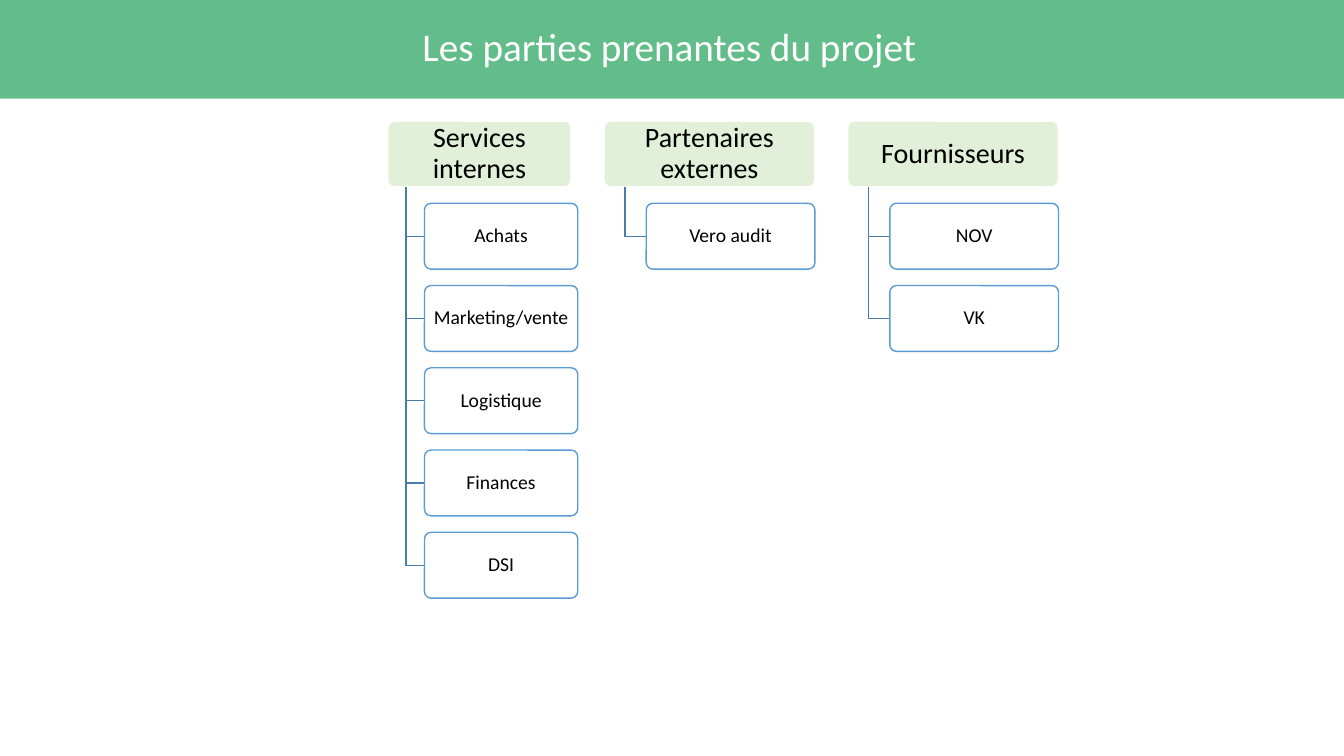
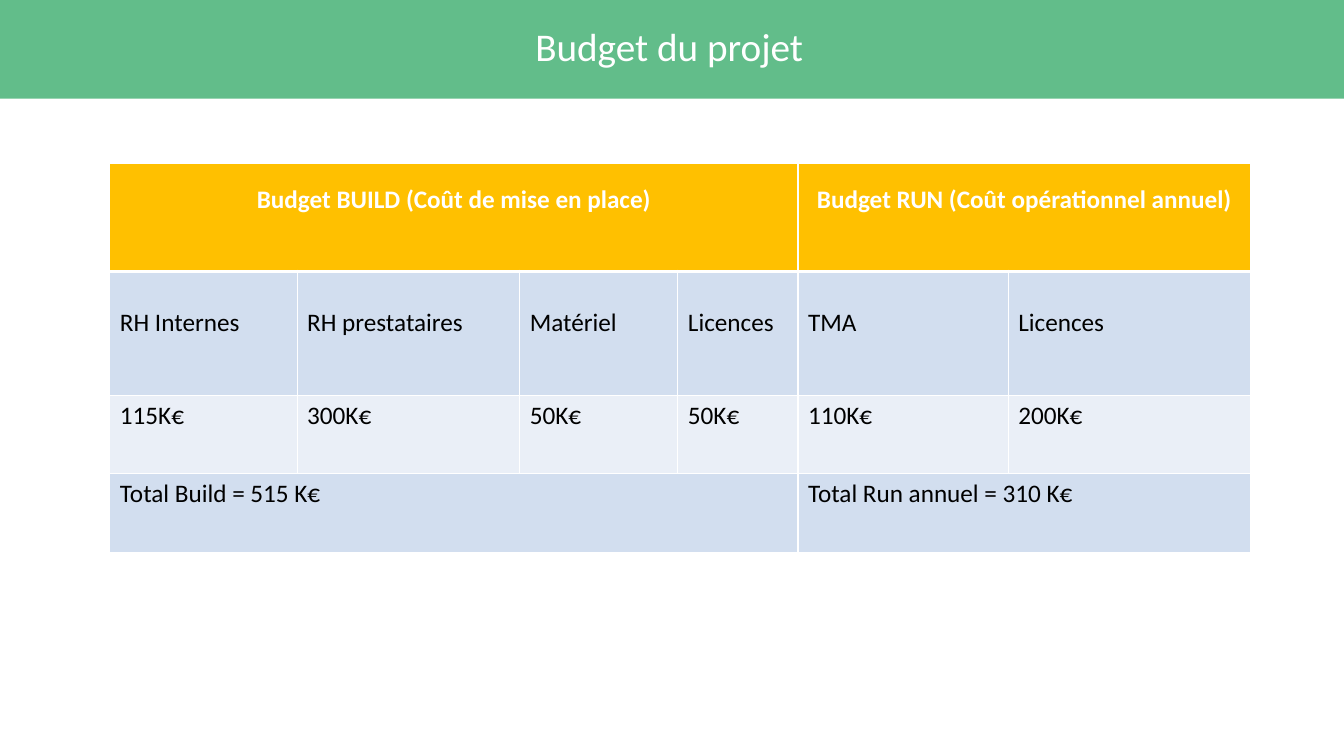
import lxml.etree
import pptx
import pptx.dml.color
import pptx.enum.shapes
import pptx.enum.text
import pptx.oxml.ns
import pptx.util

Pt = pptx.util.Pt
ALIGN = pptx.enum.text.PP_ALIGN
ANCHOR = pptx.enum.text.MSO_ANCHOR
SHAPE = pptx.enum.shapes.MSO_SHAPE

FONT = "Calibri"
GREEN, PALE_GREEN, AMBER = "62BD8A", "E2F0D9", "FFC000"
BLUE, LINK_BLUE = "5B9BD5", "497CAB"
BAND_DARK, BAND_LIGHT = "D2DEEF", "EAEFF7"
BLACK, WHITE = "000000", "FFFFFF"

STAKEHOLDERS_TITLE = "Les parties prenantes du projet"
# heading, left, heading width, member width, members
STAKEHOLDERS = [
    ("Services internes", 277, 131, 109.5,
     ["Achats", "Marketing/vente", "Logistique", "Finances", "DSI"]),
    ("Partenaires externes", 431.5, 150.5, 120.5, ["Vero audit"]),
    ("Fournisseurs", 605.5, 150.5, 120.5, ["NOV", "VK"]),
]
CHART_TOP, BOX_HEIGHT, ROW_STEP = 86.5, 47, 58.75

BUDGET_TITLE = "Budget du projet"
BUDGET_COLUMNS = [133.75, 159, 113, 85.75, 150.25, 173.25]
BUDGET_SPANS = [(0, 3), (4, 5)]
# height, fill, line spacing, texts: two texts fill the merged spans
BUDGET_ROWS = [
    (77, AMBER, 1.5, ["Budget BUILD (Coût de mise en place)",
                      "Budget RUN (Coût opérationnel annuel)"]),
    (88.5, BAND_DARK, 2, ["RH Internes", "RH prestataires", "Matériel",
                          "Licences", "TMA", "Licences"]),
    (56, BAND_LIGHT, 1, ["115K€", "300K€", "50K€", "50K€", "110K€", "200K€"]),
    (56, BAND_DARK, 1, ["Total Build = 515 K€", "Total Run annuel = 310 K€"]),
]


def rgb(color):
    return pptx.dml.color.RGBColor.from_string(color)


def write(text_frame, text, size, color=BLACK, align=ALIGN.CENTER, spacing=0.9, bold=False):
    text_frame.text = text
    paragraph = text_frame.paragraphs[0]
    paragraph.alignment = align
    paragraph.line_spacing = spacing
    font = paragraph.runs[0].font
    font.name, font.size, font.bold = FONT, Pt(size), bold
    font.color.rgb = rgb(color)


def add_box(slide, kind, left, top, width, height, fill, line=None):
    shape = slide.shapes.add_shape(kind, Pt(left), Pt(top), Pt(width), Pt(height))
    shape.shadow.inherit = False
    shape.fill.solid()
    shape.fill.fore_color.rgb = rgb(fill)
    if line:
        shape.line.color.rgb = rgb(line)
        shape.line.width = Pt(1)
    else:
        shape.line.fill.background()
    return shape


def add_label_box(slide, text, size, left, top, width, fill, line):
    shape = add_box(slide, SHAPE.ROUNDED_RECTANGLE, left, top, width, BOX_HEIGHT, fill, line)
    shape.adjustments[0] = 0.1
    frame = shape.text_frame
    frame.word_wrap = True
    frame.vertical_anchor = ANCHOR.MIDDLE
    frame.margin_left = frame.margin_right = Pt(4)
    frame.margin_top = frame.margin_bottom = Pt(3)
    write(frame, text, size)


def add_elbow(slide, trunk, top, right, bottom):
    """Draw a line down the trunk, then right to a member box."""
    builder = slide.shapes.build_freeform(Pt(trunk), Pt(top))
    builder.add_line_segments([(Pt(trunk), Pt(bottom)), (Pt(right), Pt(bottom))], close=False)
    elbow = builder.convert_to_shape()
    elbow.shadow.inherit = False
    elbow.fill.background()
    elbow.line.color.rgb = rgb(LINK_BLUE)
    elbow.line.width = Pt(1)


def add_titled_slide(presentation, title):
    slide = presentation.slides.add_slide(presentation.slide_layouts[6])
    add_box(slide, SHAPE.RECTANGLE, 0, 0, 960, 70.5, GREEN)
    title_box = slide.shapes.add_textbox(Pt(34.5), Pt(16), Pt(887), Pt(38))
    title_box.text_frame.word_wrap = True
    title_box.text_frame.vertical_anchor = ANCHOR.MIDDLE
    write(title_box.text_frame, title, 28, WHITE)
    return slide


def add_stakeholders(slide):
    for heading, left, width, member_width, members in STAKEHOLDERS:
        add_label_box(slide, heading, 20, left, CHART_TOP, width, PALE_GREEN, WHITE)
        trunk, member_left = left + width * 0.1, left + width * 0.2
        for number, member in enumerate(members, 1):
            top = CHART_TOP + number * ROW_STEP
            add_elbow(slide, trunk, CHART_TOP + BOX_HEIGHT, member_left, top + BOX_HEIGHT / 2)
            add_label_box(slide, member, 14, member_left, top, member_width, WHITE, BLUE)


def set_borders(cell, **widths):
    """Give the cell white borders; the keys are the sides L, R, T and B."""
    properties = cell._tc.get_or_add_tcPr()
    for side, width in widths.items():
        line = lxml.etree.SubElement(properties, pptx.oxml.ns.qn("a:ln" + side), w=str(Pt(width)))
        fill = lxml.etree.SubElement(line, pptx.oxml.ns.qn("a:solidFill"))
        lxml.etree.SubElement(fill, pptx.oxml.ns.qn("a:srgbClr"), val=WHITE)


def add_budget(slide):
    heights = [row[0] for row in BUDGET_ROWS]
    table = slide.shapes.add_table(
        len(heights), len(BUDGET_COLUMNS), Pt(78.5), Pt(117),
        Pt(sum(BUDGET_COLUMNS)), Pt(sum(heights))).table
    for column, width in zip(table.columns, BUDGET_COLUMNS):
        column.width = Pt(width)
    for row, (height, fill, spacing, texts) in enumerate(BUDGET_ROWS):
        table.rows[row].height = Pt(height)
        for cell in table.rows[row].cells:
            set_borders(cell, L=1, R=1, T=3 if row == 1 else 1, B=3 if row == 0 else 1)
            cell.fill.solid()
            cell.fill.fore_color.rgb = rgb(fill)
        starts = range(len(BUDGET_COLUMNS))
        if len(texts) == len(BUDGET_SPANS):
            starts = [first for first, last in BUDGET_SPANS]
            for first, last in BUDGET_SPANS:
                table.cell(row, first).merge(table.cell(row, last))
        header = row == 0
        for column, text in zip(starts, texts):
            write(table.cell(row, column).text_frame, text, 18, WHITE if header else BLACK,
                  ALIGN.CENTER if header else ALIGN.LEFT, spacing, header)


def main():
    presentation = pptx.Presentation()
    presentation.slide_width, presentation.slide_height = Pt(960), Pt(540)
    add_stakeholders(add_titled_slide(presentation, STAKEHOLDERS_TITLE))
    add_budget(add_titled_slide(presentation, BUDGET_TITLE))
    presentation.save("out.pptx")


if __name__ == "__main__":
    main()
